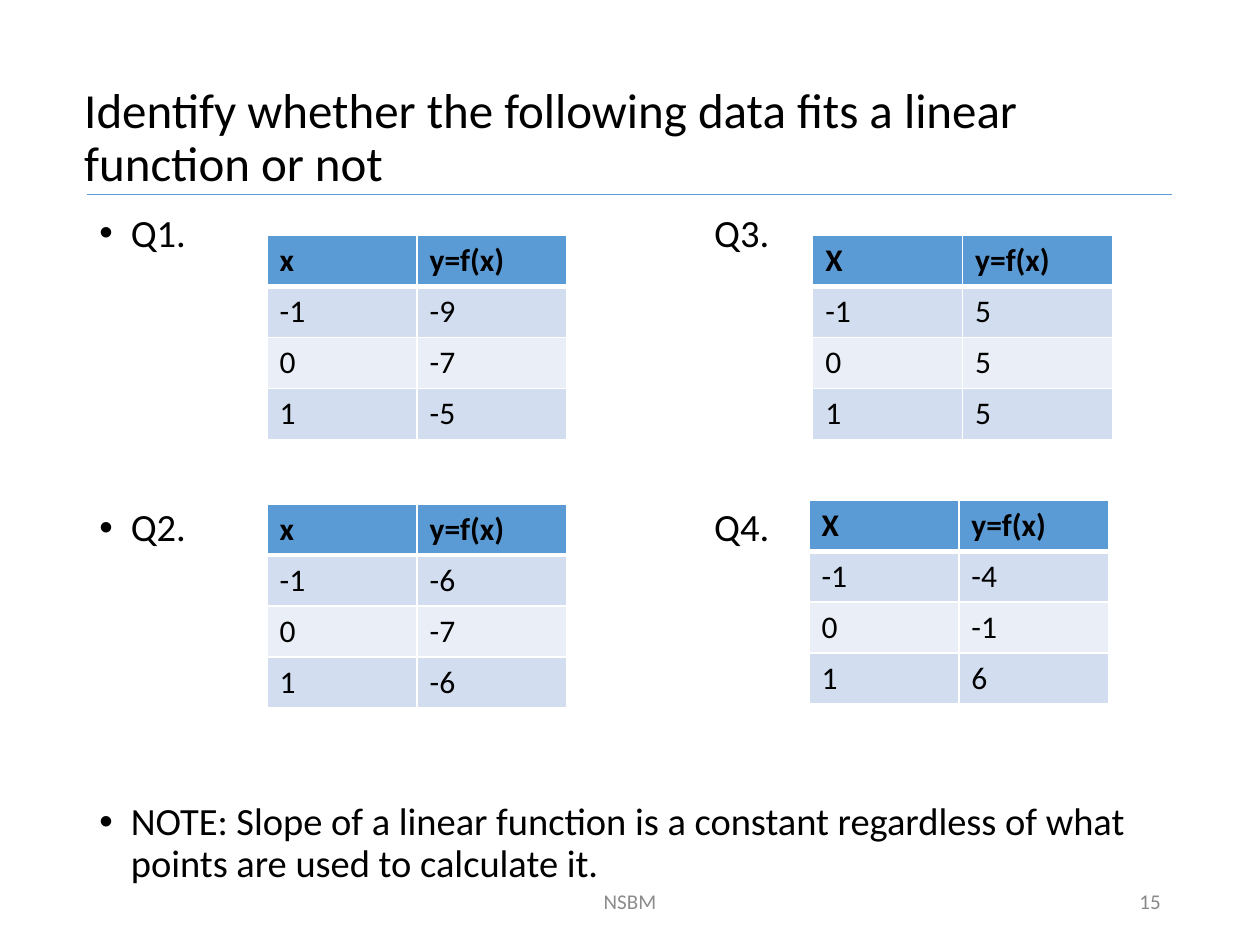
from lxml.etree import SubElement
from pptx import Presentation
from pptx.dml.color import RGBColor
from pptx.enum.shapes import MSO_CONNECTOR
from pptx.enum.text import MSO_ANCHOR, PP_ALIGN
from pptx.oxml.ns import qn
from pptx.util import Inches, Pt

BLACK = RGBColor(0x00, 0x00, 0x00)
BLUE = RGBColor(0x5B, 0x9B, 0xD5)
BAND_DARK = RGBColor(0xD2, 0xDE, 0xEF)
BAND_LIGHT = RGBColor(0xEA, 0xEF, 0xF7)
FOOTER_GRAY = RGBColor(0x8C, 0x8C, 0x8C)
NUMBER_GRAY = RGBColor(0x89, 0x89, 0x89)

presentation = Presentation()
presentation.slide_width = Inches(10)
presentation.slide_height = Inches(7.5)
slide = presentation.slides.add_slide(presentation.slide_layouts[6])
column = presentation.slide_width / 100
row = presentation.slide_height / 75


def add_run(paragraph, text, size, color=BLACK, bold=False):
    run = paragraph.add_run()
    run.text = text
    run.font.name = "Calibri"
    run.font.size = Pt(size)
    run.font.bold = bold
    run.font.color.rgb = color


def add_text_frame(left, top, width, height, anchor=MSO_ANCHOR.MIDDLE):
    box = slide.shapes.add_textbox(
        round(left * column), round(top * row), round(width * column), round(height * row)
    )
    box.text_frame.word_wrap = True
    box.text_frame.vertical_anchor = anchor
    return box.text_frame


rule = slide.shapes.add_connector(
    MSO_CONNECTOR.STRAIGHT,
    round(6.9 * column), round(15.4 * row), round(93 * column), round(15.4 * row),
)
rule.line.color.rgb = BLUE
rule.line.width = Pt(0.5)
SubElement(rule._element.spPr, qn("a:effectLst"))

title = add_text_frame(5.7, 3.8, 86.2, 14.5).paragraphs[0]
title.line_spacing = 0.9
add_run(title, "Identify whether the following data fits a linear function or not", 28)

questions = add_text_frame(6.9, 16.5, 86.2, 47.6, MSO_ANCHOR.TOP)
lines = [
    "Q1.\tQ3.",
    "Q2.\tQ4.",
    "NOTE: Slope of a linear function is a constant regardless of what points are used to calculate it.",
]
for index, line in enumerate(lines):
    paragraph = questions.paragraphs[0] if index == 0 else questions.add_paragraph()
    paragraph.line_spacing = 0.9
    paragraph.space_before = Pt(144.4 if index else 0)
    properties = paragraph._p.get_or_add_pPr()
    properties.set("marL", str(round(2.5 * column)))
    properties.set("indent", str(round(-2.5 * column)))
    SubElement(properties, qn("a:buFont"), typeface="Arial")
    SubElement(properties, qn("a:buChar"), char="•")
    if "\t" in line:
        tabs = SubElement(properties, qn("a:tabLst"))
        SubElement(tabs, qn("a:tab"), pos=str(round(48.8 * column)), algn="l")
    for part in line.partition("\t"):
        if part:
            add_run(paragraph, part, 22)

footers = [
    (33.1, 33.8, "NSBM", PP_ALIGN.CENTER, FOOTER_GRAY),
    (70.6, 22.5, "15", PP_ALIGN.RIGHT, NUMBER_GRAY),
]
for left, width, text, alignment, color in footers:
    paragraph = add_text_frame(left, 69.5, width, 4).paragraphs[0]
    paragraph.alignment = alignment
    add_run(paragraph, text, 12, color)

function_tables = [
    (21.2, 18.7, "x", ["-9", "-7", "-5"]),
    (21.2, 40, "x", ["-6", "-7", "-6"]),
    (64.5, 18.7, "X", ["5", "5", "5"]),
    (64.2, 39.7, "X", ["-4", "-1", "6"]),
]
for left, top, variable, values in function_tables:
    records = [(variable, "y=f(x)"), *zip(["-1", "0", "1"], values)]
    table = slide.shapes.add_table(
        len(records), 2,
        round(left * column), round(top * row), round(23.8 * column), round(16.2 * row),
    ).table
    for row_index, record in enumerate(records):
        for column_index, text in enumerate(record):
            cell = table.cell(row_index, column_index)
            cell_properties = cell._tc.get_or_add_tcPr()
            for side in ("L", "R", "T", "B"):
                heavy = (row_index, side) in ((0, "B"), (1, "T"))
                border = SubElement(
                    cell_properties, qn(f"a:ln{side}"), w=str(Pt(3 if heavy else 1))
                )
                border_fill = SubElement(border, qn("a:solidFill"))
                SubElement(border_fill, qn("a:srgbClr"), val="FFFFFF")
            cell.fill.solid()
            band = BAND_DARK if row_index % 2 else BAND_LIGHT
            cell.fill.fore_color.rgb = band if row_index else BLUE
            add_run(cell.text_frame.paragraphs[0], text, 18, bold=row_index == 0)

presentation.save("out.pptx")
